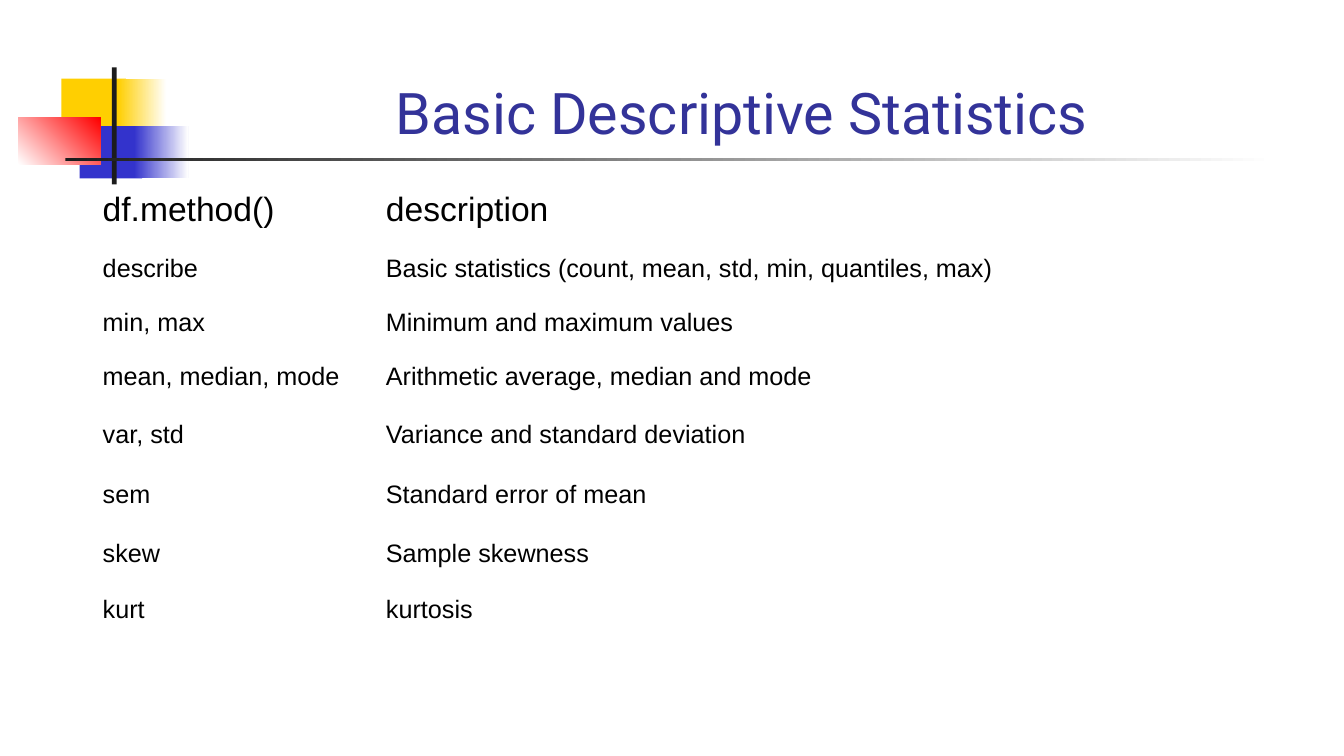
from pptx import Presentation
from pptx.dml.color import RGBColor
from pptx.enum.shapes import MSO_SHAPE as SHAPE
from pptx.enum.text import MSO_ANCHOR as ANCHOR, MSO_AUTO_SIZE as AUTO, PP_ALIGN as ALIGN
from pptx.util import Pt

COLORS = {
    "yellow": "FFCF01", "blue": "3333CC", "red": "FF0000", "dark": "1C1C1C",
    "white": "FFFFFF", "title": "333399", "text": "000000",
}

# left, top, width, height, first colour, second colour (or None), angle
ORNAMENTS = [
    (43.9, 56.2, 46.1, 37.4, "yellow", None, 0),
    (84.2, 56.2, 34.6, 37.4, "yellow", "white", 0),
    (56.9, 90, 44.6, 37.4, "blue", None, 0),
    (95.8, 90, 38.9, 37.4, "blue", "white", 0),
    (13.2, 84.2, 58.8, 33.3, "white", "red", 45),
    (80, 48.2, 3.4, 83.5, "dark", None, 0),
    (46.8, 113.2, 864, 1.8, "dark", "white", 0),
]

METHODS = [
    ("df.method()", "description"),
    ("describe", "Basic statistics (count, mean, std, min, quantiles, max)"),
    ("min, max", "Minimum and maximum values"),
    ("mean, median, mode", "Arithmetic average, median and mode"),
    ("var, std", "Variance and standard deviation"),
    ("sem", "Standard error of mean"),
    ("skew", "Sample skewness"),
    ("kurt", "kurtosis"),
]
COL_WIDTHS = [202.3, 462.2]
ROW_HEIGHTS = [45.4, 38.3, 38.3, 41.8, 42.5, 42.5, 39.6, 39.6]


def rgb(name):
    return RGBColor.from_string(COLORS[name])


def format_runs(p, font, size, color):
    for r in p.runs:
        r.font.name = font
        r.font.size = Pt(size)
        r.font.color.rgb = rgb(color)


def add_block(s, left, top, width, height, color, fade, angle):
    sp = s.shapes.add_shape(SHAPE.RECTANGLE, Pt(left), Pt(top), Pt(width), Pt(height))
    sp.shadow.inherit = False
    sp.line.fill.background()
    if fade is None:
        sp.fill.solid()
        sp.fill.fore_color.rgb = rgb(color)
        return
    sp.fill.gradient()
    sp.fill.gradient_angle = angle
    for stop, name in zip(sp.fill.gradient_stops, (color, fade)):
        stop.color.rgb = rgb(name)


def set_title(s, text):
    sp = s.shapes.title
    sp.left, sp.top, sp.width, sp.height = Pt(121), Pt(18), Pt(817.9), Pt(90)
    tf = sp.text_frame
    tf.text = text
    tf.auto_size = AUTO.NONE
    tf.vertical_anchor = ANCHOR.BOTTOM
    p = tf.paragraphs[0]
    p.alignment = ALIGN.CENTER
    format_runs(p, "Roboto", 41, "title")


def add_methods_table(s, left, top):
    frame = s.shapes.add_table(len(METHODS), len(COL_WIDTHS), Pt(left), Pt(top),
                               Pt(sum(COL_WIDTHS)), Pt(sum(ROW_HEIGHTS)))
    table = frame.table
    table.first_row = table.horz_banding = False
    for column, width in zip(table.columns, COL_WIDTHS):
        column.width = Pt(width)
    for i, (row, texts) in enumerate(zip(table.rows, METHODS)):
        row.height = Pt(ROW_HEIGHTS[i])
        for cell, text in zip(row.cells, texts):
            cell.fill.background()
            cell.text_frame.text = text
            format_runs(cell.text_frame.paragraphs[0], "Arial", 18 if i else 24, "text")


def main():
    prs = Presentation()
    prs.slide_width, prs.slide_height = Pt(960), Pt(540)
    s = prs.slides.add_slide(prs.slide_layouts[5])

    # Corner ornament and rule under the title
    for ornament in ORNAMENTS:
        add_block(s, *ornament)

    # Title and table of methods
    set_title(s, "Basic Descriptive Statistics")
    add_methods_table(s, 66.2, 133.2)

    prs.save("out.pptx")


if __name__ == "__main__":
    main()
